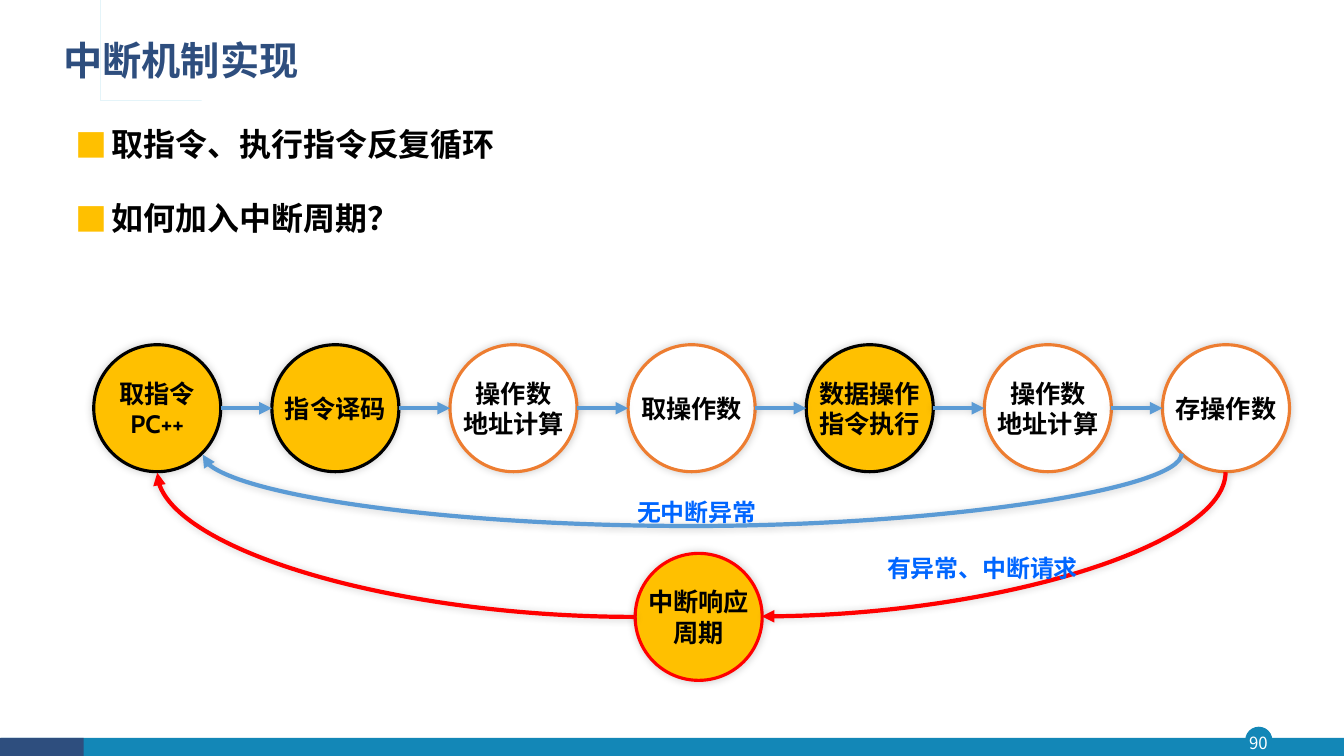
"""Build the slide on how interrupts fit into the instruction cycle."""
from dataclasses import dataclass

from lxml.etree import SubElement
from pptx import Presentation
from pptx.dml.color import RGBColor
from pptx.enum.shapes import MSO_CONNECTOR as Connector, MSO_SHAPE as Shape
from pptx.enum.text import MSO_ANCHOR as Anchor, PP_ALIGN as Align
from pptx.oxml.ns import qn
from pptx.util import Inches, Pt

CJK = "Noto Sans CJK SC"
LATIN = "Cabin"
BLACK, WHITE, AMBER, ORANGE = "000000", "FFFFFF", "FFC000", "ED7D31"
NAVY, TEAL, SKY, RED = "2E4E7E", "1387B7", "5B9BD5", "FF0000"
LABEL_BLUE, CYAN = "0066FF", "28A9D6"
DIAMETER = 1.26
STAGE_LEFT, STAGE_TOP = 0.93, 3.42
STAGE_STEP = 10.6 / 6


@dataclass
class Stage:
    lines: list[str]
    fill: str
    line: str


@dataclass
class Curve:
    preset: str
    left: float
    top: float
    width: float
    height: float
    rotation: int
    color: str
    bend: int = 0


@dataclass
class Label:
    text: str
    left: float
    top: float
    width: float


STAGES = [
    Stage(["取指令", "PC++"], AMBER, BLACK),
    Stage(["指令译码"], AMBER, BLACK),
    Stage(["操作数", "地址计算"], WHITE, ORANGE),
    Stage(["取操作数"], WHITE, ORANGE),
    Stage(["数据操作", "指令执行"], AMBER, BLACK),
    Stage(["操作数", "地址计算"], WHITE, ORANGE),
    Stage(["存操作数"], WHITE, ORANGE),
]
INTERRUPT = Stage(["中断响应", "周期"], AMBER, RED)
CURVES = [
    Curve("curvedConnector3", 6.86, -0.35, 0.01, 9.71, 90, SKY, 73),
    Curve("curvedConnector2", 9.14, 3.1, 1.43, 4.6, 90, RED),
    Curve("curvedConnector2", 1.56, 4.69, 4.74, 1.43, 180, RED),
]
LABELS = [
    Label("无中断异常", 6.22, 4.74, 1.4),
    Label("有异常、中断请求", 8.7, 5.3, 2.12),
]
BULLETS = ["取指令、执行指令反复循环", "如何加入中断周期？"]
ORNAMENT = [
    (0.54, 0.39), (0.54, 0.85), (1.87, 0.85), (1.87, 0.87), (0.52, 0.87),
    (0.52, 0.41), (0.47, 0.41), (0.47, 0.87), (0.36, 0.87), (0.36, 0.39),
    (0.39, 0.39), (0.39, 0.84), (0.44, 0.84), (0.44, 0.39),
]


def rgb(color: str) -> RGBColor:
    return RGBColor.from_string(color)


def box(left: float, top: float, width: float, height: float) -> list:
    return [Inches(value) for value in (left, top, width, height)]


def style(paragraph, size: float, color: str, name: str = LATIN, bold: bool = True) -> None:
    font = paragraph.font
    font.size, font.bold = Pt(size), bold
    font.color.rgb = rgb(color)
    font.name = name
    SubElement(font._rPr, qn("a:ea"), typeface=CJK)


def add_shadow(shape) -> None:
    properties = shape._element.spPr
    for old in properties.findall(qn("a:effectLst")):
        properties.remove(old)
    effects = SubElement(properties, qn("a:effectLst"))
    outer = SubElement(effects, qn("a:outerShdw"), blurRad=str(Pt(6)), dist="0",
                       dir="18900000", algn="bl", rotWithShape="0")
    color = SubElement(outer, qn("a:srgbClr"), val=BLACK)
    SubElement(color, qn("a:alpha"), val="20000")


def paint(shape, fill: str) -> None:
    shape.shadow.inherit = False
    shape.fill.solid()
    shape.fill.fore_color.rgb = rgb(fill)
    shape.line.fill.background()


def add_stage(slide, stage: Stage, left: float, top: float) -> None:
    circle = slide.shapes.add_shape(Shape.OVAL, *box(left, top, DIAMETER, DIAMETER))
    paint(circle, stage.fill)
    circle.line.color.rgb = rgb(stage.line)
    circle.line.width = Pt(2.25)
    add_shadow(circle)
    frame = circle.text_frame
    frame.word_wrap = False
    frame.vertical_anchor = Anchor.MIDDLE
    frame.text = "\n".join(stage.lines)
    for paragraph in frame.paragraphs:
        paragraph.alignment = Align.CENTER
        style(paragraph, 18, BLACK)


def add_arrow(slide, kind, left: float, top: float, right: float, bottom: float, color: str):
    arrow = slide.shapes.add_connector(kind, *box(left, top, right, bottom))
    arrow.line.color.rgb = rgb(color)
    arrow.line.width = Pt(3)
    SubElement(arrow.line._get_or_add_ln(), qn("a:tailEnd"), type="triangle")
    add_shadow(arrow)
    return arrow


def add_curve(slide, curve: Curve) -> None:
    arrow = add_arrow(slide, Connector.CURVE, curve.left, curve.top,
                      curve.left + curve.width, curve.top + curve.height, curve.color)
    arrow.rotation = curve.rotation
    geometry = arrow._element.spPr.find(qn("a:prstGeom"))
    geometry.set("prst", curve.preset)
    if curve.bend:
        guides = geometry.find(qn("a:avLst"))
        SubElement(guides, qn("a:gd"), name="adj1", fmla=f"val {curve.bend * 100000}")


def add_label(slide, label: Label) -> None:
    frame = slide.shapes.add_textbox(*box(label.left, label.top, label.width, 0.53)).text_frame
    frame.word_wrap = False
    frame.text = label.text
    paragraph = frame.paragraphs[0]
    paragraph.line_spacing = 1.5
    style(paragraph, 17.1, LABEL_BLUE)


def add_bullets(slide) -> None:
    frame = slide.shapes.add_textbox(*box(0.65, 1, 11.82, 1.42)).text_frame
    frame.word_wrap = True
    frame.text = "\n".join(BULLETS)
    for index, paragraph in enumerate(frame.paragraphs):
        paragraph.line_spacing = 1.5
        paragraph.space_before = Pt(5.7 if index else 0)
        paragraph.space_after = Pt(5.7)
        properties = paragraph._p.get_or_add_pPr()
        properties.set("marL", str(Inches(0.36)))
        properties.set("indent", str(Inches(-0.36)))
        color = SubElement(properties, qn("a:buClr"))
        SubElement(color, qn("a:srgbClr"), val=AMBER)
        SubElement(properties, qn("a:buFont"), typeface=CJK)
        SubElement(properties, qn("a:buChar"), char="■")
        style(paragraph, 22.8, BLACK, CJK)


def add_frame(slide) -> None:
    for kind, area, color in [
        (Shape.OVAL, (12.35, 7.21, 0.27, 0.27), TEAL),
        (Shape.RECTANGLE, (0.01, 7.32, 13.32, 0.19), TEAL),
        (Shape.RECTANGLE, (0, 7.32, 0.83, 0.19), NAVY),
    ]:
        paint(slide.shapes.add_shape(kind, *box(*area)), color)
    number = slide.shapes.add_textbox(*box(12.32, 7.21, 0.32, 0.31)).text_frame
    number.margin_left = number.margin_right = number.margin_top = number.margin_bottom = 0
    number.word_wrap = True
    number.vertical_anchor = Anchor.MIDDLE
    number.text = "90"
    number.paragraphs[0].alignment = Align.CENTER
    style(number.paragraphs[0], 12, WHITE, CJK, bold=False)
    builder = slide.shapes.build_freeform(*ORNAMENT[0], scale=Inches(1))
    builder.add_line_segments(ORNAMENT[1:], close=True)
    paint(builder.convert_to_shape(), CYAN)


def add_title(slide) -> None:
    title = slide.shapes.title
    title.left, title.top, title.width, title.height = box(0.53, 0.28, 11.5, 0.68)
    title.text_frame.text = "中断机制实现"
    title.text_frame.vertical_anchor = Anchor.MIDDLE
    paragraph = title.text_frame.paragraphs[0]
    paragraph.alignment = Align.LEFT
    paragraph.line_spacing = 0.9
    style(paragraph, 28, NAVY, CJK)


def main() -> None:
    presentation = Presentation()
    presentation.slide_width, presentation.slide_height = Inches(13.33), Inches(7.5)
    slide = presentation.slides.add_slide(presentation.slide_layouts[5])
    add_frame(slide)
    add_title(slide)
    add_bullets(slide)
    middle = STAGE_TOP + DIAMETER / 2
    for index, stage in enumerate(STAGES):
        left = STAGE_LEFT + index * STAGE_STEP
        add_stage(slide, stage, left, STAGE_TOP)
        if index:
            add_arrow(slide, Connector.STRAIGHT, left - STAGE_STEP + DIAMETER, middle, left, middle, SKY)
    add_stage(slide, INTERRUPT, 6.3, 5.49)
    for curve in CURVES:
        add_curve(slide, curve)
    for label in LABELS:
        add_label(slide, label)
    presentation.save("out.pptx")


if __name__ == "__main__":
    main()
